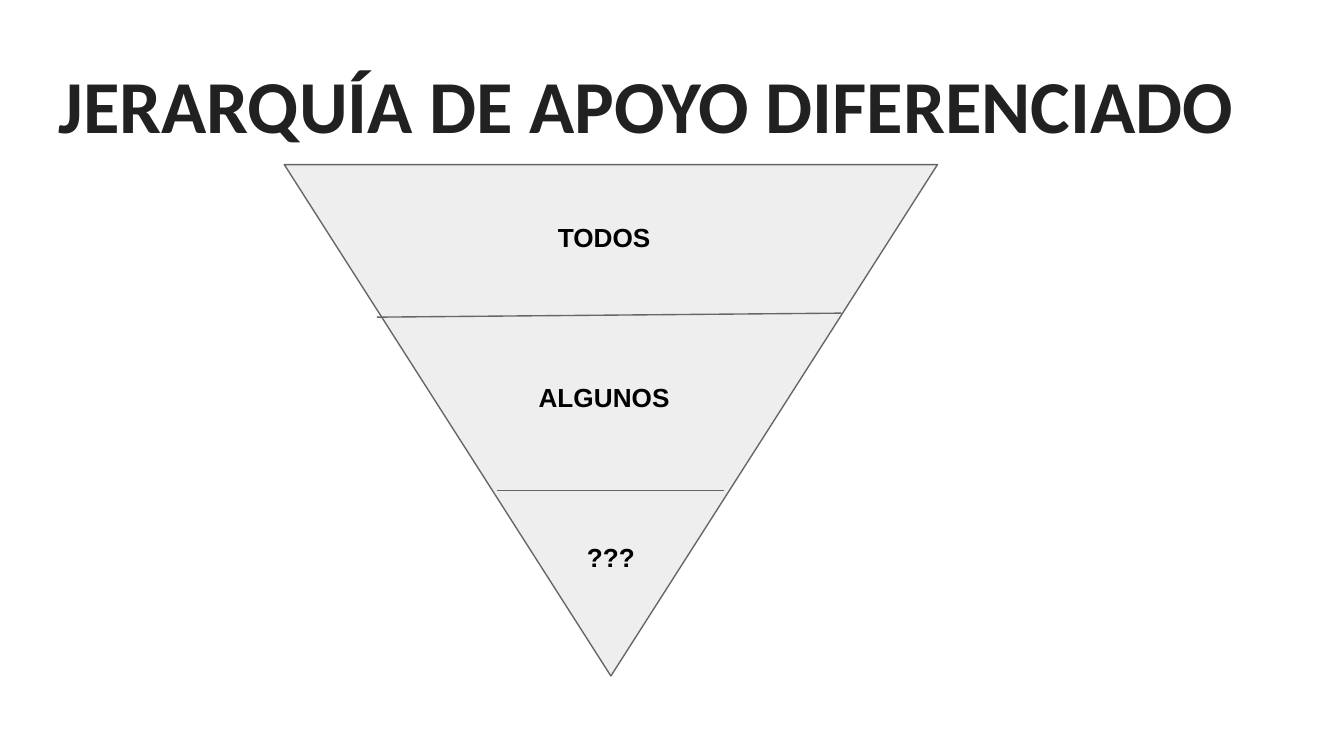
"""Build a slide with an inverted triangle of three support levels."""
from lxml import etree
from pptx import Presentation
from pptx.dml.color import RGBColor
from pptx.enum.shapes import MSO_CONNECTOR, MSO_SHAPE
from pptx.enum.text import MSO_ANCHOR, MSO_AUTO_SIZE, PP_ALIGN
from pptx.oxml.ns import qn
from pptx.util import Pt

STRAIGHT = MSO_CONNECTOR.STRAIGHT
TRIANGLE = MSO_SHAPE.ISOSCELES_TRIANGLE
TOP = MSO_ANCHOR.TOP
NO_FIT = MSO_AUTO_SIZE.NONE
LEFT, CENTER = PP_ALIGN.LEFT, PP_ALIGN.CENTER

PX = 4572
INSET = 20
TITLE_ONLY = 5
COLORS = {"title": "212121", "label": "000000", "fill": "EEEEEE", "line": "666666"}

LEVELS = [
    ("TODOS", (661, 310, 476, 80)),
    ("ALGUNOS", (661, 548, 476, 80)),
    ("???", (800, 786, 218, 66)),
]
DIVIDERS = [(561, 472, 1252, 466), (740, 730, 1078, 730)]


def px(*values):
    return [v * PX for v in values]


def color(name):
    return RGBColor.from_string(COLORS[name])


def style_line(line):
    line.color.rgb = color("line")
    line.width = Pt(0.75)


def write_text(sp, text, size, font="Arial", ink="label", align=CENTER):
    tf = sp.text_frame
    tf.word_wrap = True
    tf.auto_size = NO_FIT
    tf.vertical_anchor = TOP
    tf.margin_left = tf.margin_right = tf.margin_top = tf.margin_bottom = INSET * PX
    p = tf.paragraphs[0]
    p.alignment = align
    r = p.add_run()
    r.text = text
    r.font.name = font
    r.font.size = Pt(size)
    r.font.bold = True
    r.font.color.rgb = color(ink)


def add_title(s, text, box):
    sp = s.shapes.title
    sp.left, sp.top, sp.width, sp.height = px(*box)
    write_text(sp, text, 40, font="Calibri", ink="title", align=LEFT)


def add_triangle(s, box):
    sp = s.shapes.add_shape(TRIANGLE, *px(*box))
    sp.rotation = 180
    sp.shadow.inherit = False
    sp.fill.solid()
    sp.fill.fore_color.rgb = color("fill")
    style_line(sp.line)


def add_divider(s, ends):
    sp = s.shapes.add_connector(STRAIGHT, *px(*ends))
    style_line(sp.line)
    etree.SubElement(sp._element.spPr, qn("a:effectLst"))


def add_label(s, text, box):
    write_text(s.shapes.add_textbox(*px(*box)), text, 14)


def main():
    prs = Presentation()
    prs.slide_width, prs.slide_height = px(2000, 1125)
    s = prs.slides.add_slide(prs.slide_layouts[TITLE_ONLY])
    add_title(s, "JERARQUÍA DE APOYO DIFERENCIADO", (67, 68, 1868, 164))
    add_triangle(s, (423, 245, 972, 761))
    for ends in DIVIDERS:
        add_divider(s, ends)
    for text, box in LEVELS:
        add_label(s, text, box)
    prs.save("out.pptx")


if __name__ == "__main__":
    main()
